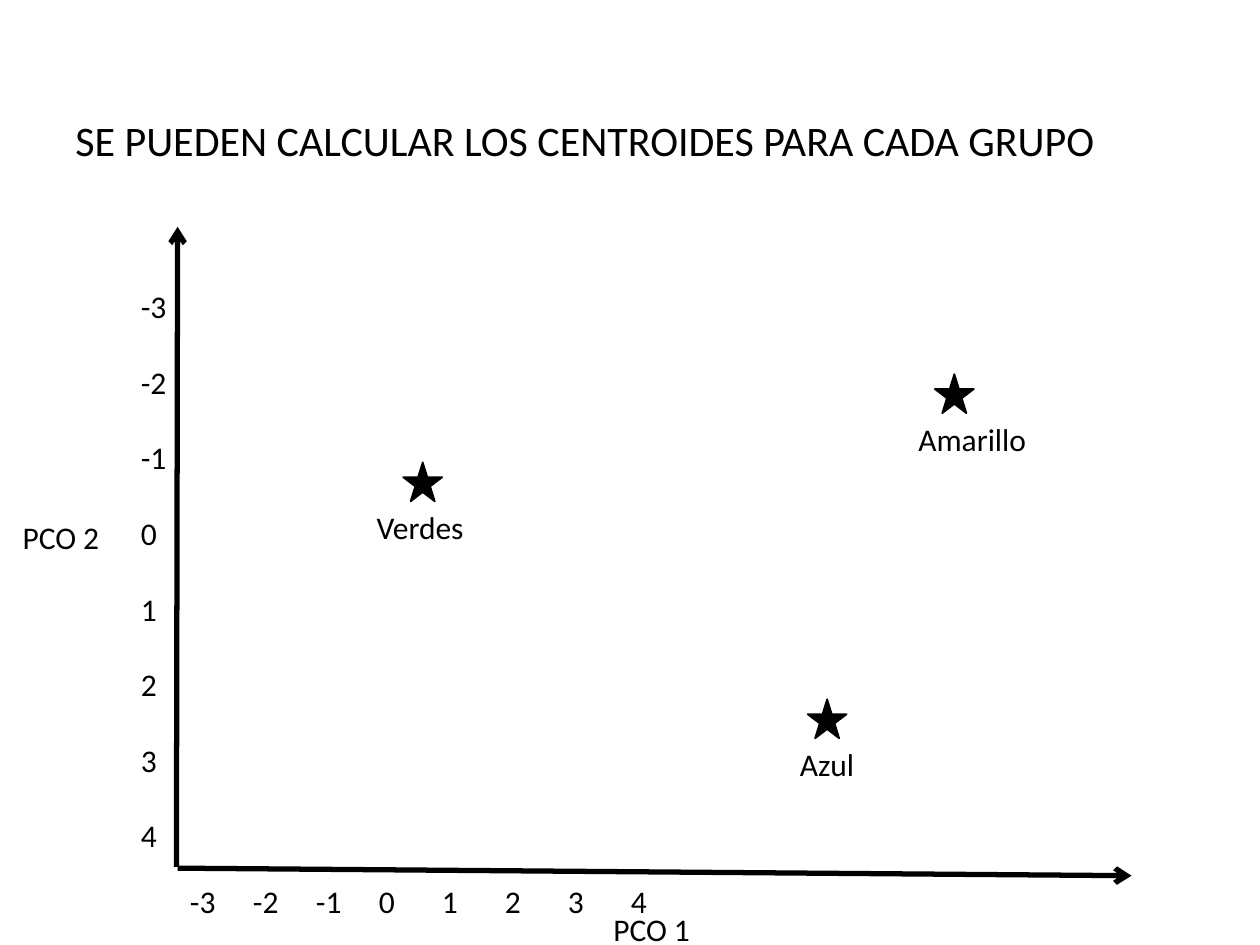
from lxml.etree import SubElement
from pptx import Presentation
from pptx.dml.color import RGBColor
from pptx.enum.shapes import MSO_CONNECTOR, MSO_SHAPE
from pptx.enum.text import MSO_ANCHOR, PP_ALIGN
from pptx.oxml.ns import qn
from pptx.util import Pt

BLACK = RGBColor(0, 0, 0)
WHITE = RGBColor(255, 255, 255)
FONT = "Calibri"
STAR_SIZE = 22.3
LABEL_HEIGHT = 29
X_TICKS = ["-3", "-2", "-1", "0", "1", "2", "3", "4"]
Y_TICKS = X_TICKS
CENTROIDS = [
    ("Azul", (461.5, 399.6), (450, 421.9), 62),
    ("Verdes", (230.4, 264.2), (208.1, 286.6), 84),
    ("Amarillo", (534.2, 213.8), (517.7, 236.2), 84),
]


def add_text(slide, text, left, top, width, height=LABEL_HEIGHT, size=18, gap=0):
    text_box = slide.shapes.add_textbox(Pt(left), Pt(top), Pt(width), Pt(height))
    text_frame = text_box.text_frame
    text_frame.word_wrap = True
    text_frame.text = text
    for paragraph in text_frame.paragraphs:
        paragraph.alignment = PP_ALIGN.LEFT
        paragraph.space_after = Pt(gap)
        for run in paragraph.runs:
            run.font.name = FONT
            run.font.size = Pt(size)
            run.font.color.rgb = BLACK
    return text_frame


def add_title(slide, text):
    text_frame = add_text(slide, text, 36, 39.6, 648, 84.2, size=24)
    text_frame.vertical_anchor = MSO_ANCHOR.MIDDLE
    text_frame.paragraphs[0].line_spacing = 0.9


def add_axis(slide, start, end):
    connector = slide.shapes.add_connector(
        MSO_CONNECTOR.STRAIGHT, *(Pt(value) for value in start + end)
    )
    connector.line.color.rgb = BLACK
    connector.line.width = Pt(3)
    properties = connector._element.spPr
    SubElement(properties.find(qn("a:ln")), qn("a:tailEnd"), type="arrow")
    SubElement(properties, qn("a:effectLst"))


def add_centroid(slide, name, star_position, label_position, label_width):
    left, top = star_position
    star = slide.shapes.add_shape(
        MSO_SHAPE.STAR_5_POINT, Pt(left), Pt(top), Pt(STAR_SIZE), Pt(STAR_SIZE)
    )
    star.shadow.inherit = False
    star.fill.solid()
    star.fill.fore_color.rgb = BLACK
    star.line.color.rgb = BLACK
    star.line.width = Pt(1)
    add_text(slide, name, *label_position, label_width)


def main():
    """Build the slide with the centroid of each group on the two PCO axes."""
    presentation = Presentation()
    presentation.slide_width = Pt(720)
    presentation.slide_height = Pt(540)
    slide = presentation.slides.add_slide(presentation.slide_layouts[6])
    slide.background.fill.solid()
    slide.background.fill.fore_color.rgb = WHITE

    add_title(slide, "SE PUEDEN CALCULAR LOS CENTROIDES PARA CADA GRUPO")
    add_axis(slide, (100.8, 495.4), (101.5, 129.6))
    add_axis(slide, (101.5, 496.1), (646.6, 500.4))
    add_text(slide, "\n".join(Y_TICKS), 73.4, 160.6, 39.6, 334, gap=21.6)
    add_text(slide, "\t".join(X_TICKS), 101.5, 500.4, 528.5)
    add_text(slide, "PCO 1", 343.4, 516.2, 152)
    add_text(slide, "PCO 2", 5.8, 292.3, 152)
    for centroid in CENTROIDS:
        add_centroid(slide, *centroid)

    presentation.save("out.pptx")


if __name__ == "__main__":
    main()
